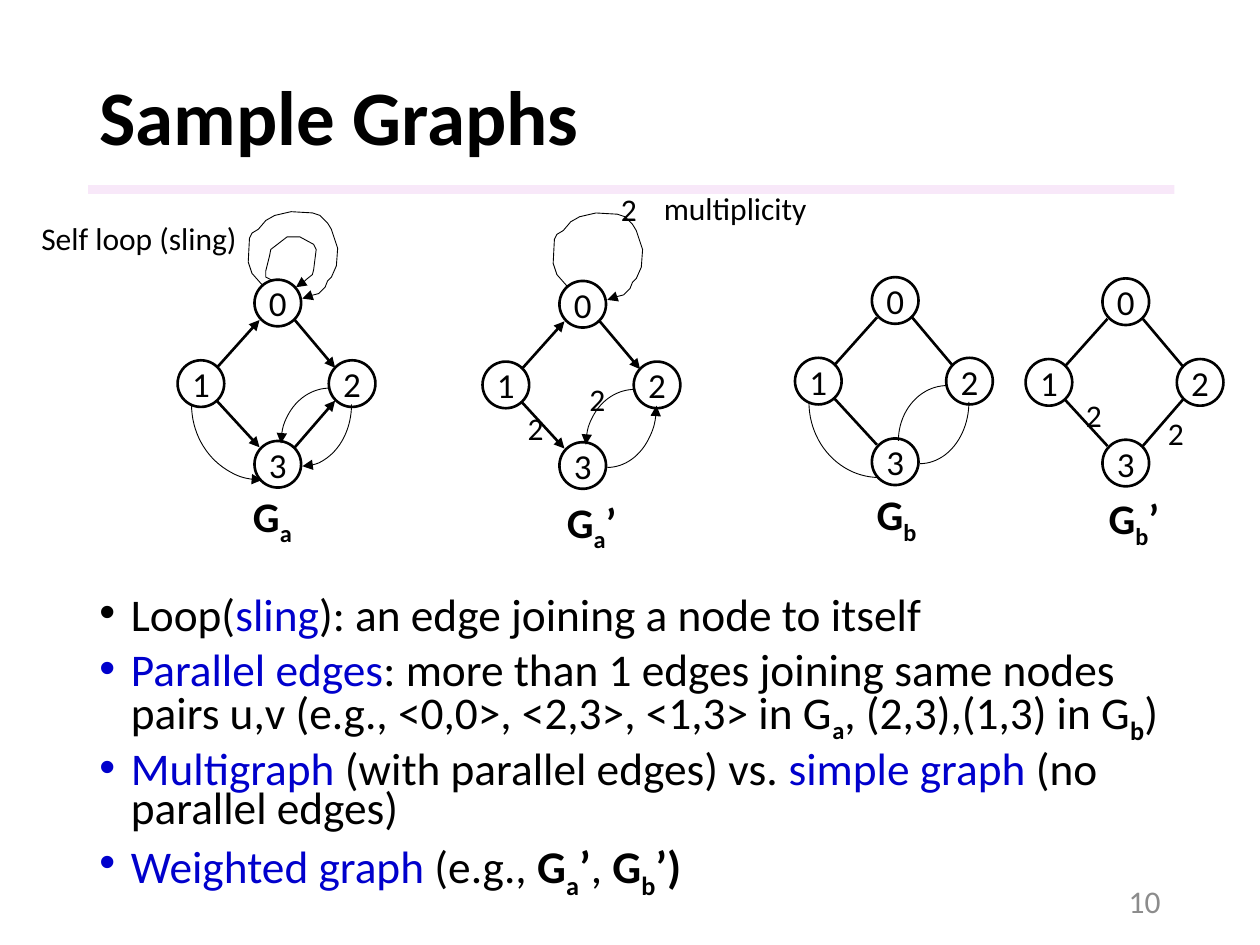
from lxml.etree import SubElement as sub
from pptx import Presentation
from pptx.dml.color import RGBColor
from pptx.enum.shapes import MSO_CONNECTOR as CON, MSO_SHAPE as SHP
from pptx.enum.text import MSO_ANCHOR as ANC, PP_ALIGN as AL
from pptx.oxml.ns import qn
from pptx.util import Inches, Pt

BLACK = RGBColor(0, 0, 0)
WHITE = RGBColor(255, 255, 255)
BLUE = RGBColor(0, 0, 0xCC)
GREY = RGBColor(0x8C, 0x8C, 0x8C)
PINK = RGBColor(0xF3, 0xD2, 0xF4)
FONT = "Calibri"
DEGREE = 0.6  # one degree in units of an arc's adjustments

deck = Presentation()
deck.slide_width, deck.slide_height = Inches(10), Inches(7.5)
U = deck.slide_width // 1000  # grid cell: 1000 columns, 750 rows
slide = deck.slides.add_slide(deck.slide_layouts[6])
shapes = slide.shapes


def text(box, lines, size, color=BLACK, wrap=False, anchor=ANC.TOP):
    """Each line is a list of (words, style): b bold, s subscript, c blue."""
    frame = shapes.add_textbox(*[n * U for n in box]).text_frame
    frame.word_wrap, frame.vertical_anchor = wrap, anchor
    for i, line in enumerate(lines):
        para = frame.add_paragraph() if i else frame.paragraphs[0]
        for words, style in line:
            run = para.add_run()
            run.text = words
            font = run.font
            font.name, font.size = FONT, Pt(size)
            font.bold = "b" in style
            font.color.rgb = BLUE if "c" in style else color
            if "s" in style:
                run._r.get_or_add_rPr().set("baseline", "-25000")
    return frame.paragraphs


def stroke(shape, width, arrow=None):
    """Black line, no shadow, with an optional headEnd or tailEnd arrow."""
    shape.line.color.rgb = BLACK
    shape.line.width = Pt(width)
    props = shape._element.spPr
    if arrow:
        sub(props.find(qn("a:ln")), qn("a:" + arrow), type="triangle")
    sub(props, qn("a:effectLst"))


# Title and rule
bar = shapes.add_shape(SHP.RECTANGLE, 70 * U, 147 * U, 862 * U, 7 * U)
bar.fill.solid()
bar.fill.fore_color.rgb = PINK
sub(bar._element.spPr.find(qn("a:solidFill"))[0], qn("a:alpha"), val="50000")
bar.line.fill.background()
bar.shadow.inherit = False
title = text((69, 40, 862, 111), [[("Sample Graphs", "b")]], 44,
             wrap=True, anchor=ANC.MIDDLE)
title[0].line_spacing = 0.9

# Graph parts, in cells from the centre of node 0
NODES = [(0, 0), (-61, 64), (59, 64), (0, 128)]
EDGES = {"10": (-48, 52, -14, 14), "02": (14, 14, 46, 52),
         "13": (-48, 78, -14, 115), "32": (14, 115, 46, 78)}
# Quarter arcs: centre, radii, start and end angle
ARCS = {"in": (42, 112, 39, 44, 180, 270),
        "left": (-12, 81, 56, 60, 90, 180),
        "right": (20, 81, 39, 49, 0, 90)}
LOOPS = {
    "small": [(-3, -17), (-9, -20), (-9, -25), (-6, -37), (-5, -42), (8, -52),
              (18, -52), (29, -46), (31, -42), (29, -26), (28, -22),
              (23, -18), (20, -15), (15, -12)],
    "big": [(-12, -14), (-20, -23), (-23, -32), (-22, -51), (-20, -55),
            (-15, -58), (-9, -65), (-2, -69), (11, -72), (28, -71), (34, -69),
            (40, -63), (43, -58), (48, -43), (47, -29), (43, -20), (40, -17),
            (38, -12), (33, -7), (25, -5), (20, -3)]}
THREE = ["10", "02", "13"]
# Centre of node 0, directed, edges, arcs with arrow ends, loops
GRAPHS = [
    (220, 240, True, THREE + ["32"],
     {"in": "headEnd", "left": "headEnd", "right": "tailEnd"},
     ["small", "big"]),
    (462, 241, True, THREE, {"in": "headEnd", "right": "headEnd"}, ["big"]),
    (710, 238, False, THREE, {"in": None, "left": None, "right": None}, []),
    (893, 239, False, THREE + ["32"], {}, []),
]

for x, y, way, edges, arcs, loops in GRAPHS:
    # Nodes
    for i, (dx, dy) in enumerate(NODES):
        node = shapes.add_shape(SHP.OVAL, (x + dx - 18) * U,
                                (y + dy - 18) * U, 37 * U, 37 * U)
        node.fill.solid()
        node.fill.fore_color.rgb = WHITE
        stroke(node, 1.5)
        frame = node.text_frame
        frame.margin_left = frame.margin_right = 0
        frame.vertical_anchor = ANC.MIDDLE
        para = frame.paragraphs[0]
        para.text, para.alignment = str(i), AL.CENTER
        font = para.font
        font.name, font.size, font.color.rgb = FONT, Pt(20), BLACK
    # Straight edges
    for key in edges:
        a, b, c, d = EDGES[key]
        edge = shapes.add_connector(CON.STRAIGHT, (x + a) * U, (y + b) * U,
                                    (x + c) * U, (y + d) * U)
        stroke(edge, 1.5, "tailEnd" if way else None)
    # Parallel edges
    for key, end in arcs.items():
        dx, dy, rx, ry, start, stop = ARCS[key]
        arc = shapes.add_shape(SHP.ARC, (x + dx - rx) * U, (y + dy - ry) * U,
                               2 * rx * U, 2 * ry * U)
        arc.adjustments[0] = start * DEGREE
        arc.adjustments[1] = stop * DEGREE
        arc.fill.background()
        stroke(arc, 0.5, end)
    # Self loops
    for key in loops:
        dots = [(x + dx, y + dy) for dx, dy in LOOPS[key]]
        pen = shapes.build_freeform(*dots[0], scale=U)
        pen.add_line_segments(dots[1:], close=False)
        loop = pen.convert_to_shape()
        loop.fill.background()
        stroke(loop, 0.5, "tailEnd")

# Graph names
for x, y, low, tick in [(191, 384, "a", ""), (440, 389, "a", "’"),
                        (686, 383, "b", ""), (870, 386, "b", "’")]:
    name = [("G", "b"), (low, "bs")] + ([(tick, "b")] if tick else [])
    text((x, y, 62 if tick else 53, 50), [name], 24)

# Weights and notes
for x, y, w, words in [(23, 169, 177, "Self loop (sling)"),
                       (517, 145, 135, "multiplicity"),
                       (483, 146, 33, "2"), (458, 297, 33, "2"),
                       (409, 320, 33, "2"), (852, 309, 33, "2"),
                       (917, 324, 33, "2")]:
    text((x, y, w, 40), [[(words, "")]], 18)

# Bullets
body = text((69, 472, 862, 250), [
    [("Loop(", ""), ("sling", "c"), ("): an edge joining a node to itself", "")],
    [("Parallel edges", "c"),
     (": more than 1 edges joining same nodes pairs u,v "
      "(e.g., <0,0>, <2,3>, <1,3> in G", ""), ("a", "bs"),
     (", (2,3),(1,3) in G", ""), ("b", "bs"), (")", "")],
    [("Multigraph", "c"), (" (with parallel edges) vs. ", ""),
     ("simple graph", "c"), (" (no parallel edges)", "")],
    [("Weighted graph", "c"), (" (e.g., ", ""), ("G", "b"), ("a", "bs"),
     ("’", "b"), (", ", ""), ("G", "b"), ("b", "bs"), ("’)", "b")],
], 25.9, wrap=True)
for i, para in enumerate(body):
    para.line_spacing = 0.7
    para.space_before = Pt(10 if i else 0)
    props = para._p.get_or_add_pPr()
    props.set("marL", str(25 * U))
    props.set("indent", str(-25 * U))
    sub(props, qn("a:buFont"), typeface="Arial")
    sub(props, qn("a:buChar"), char="•")
body[1].runs[2].font.size = Pt(24.1)

# Page number
page = text((706, 695, 225, 40), [[("10", "")]], 18, GREY, True, ANC.MIDDLE)
page[0].alignment = AL.RIGHT

deck.save("out.pptx")
